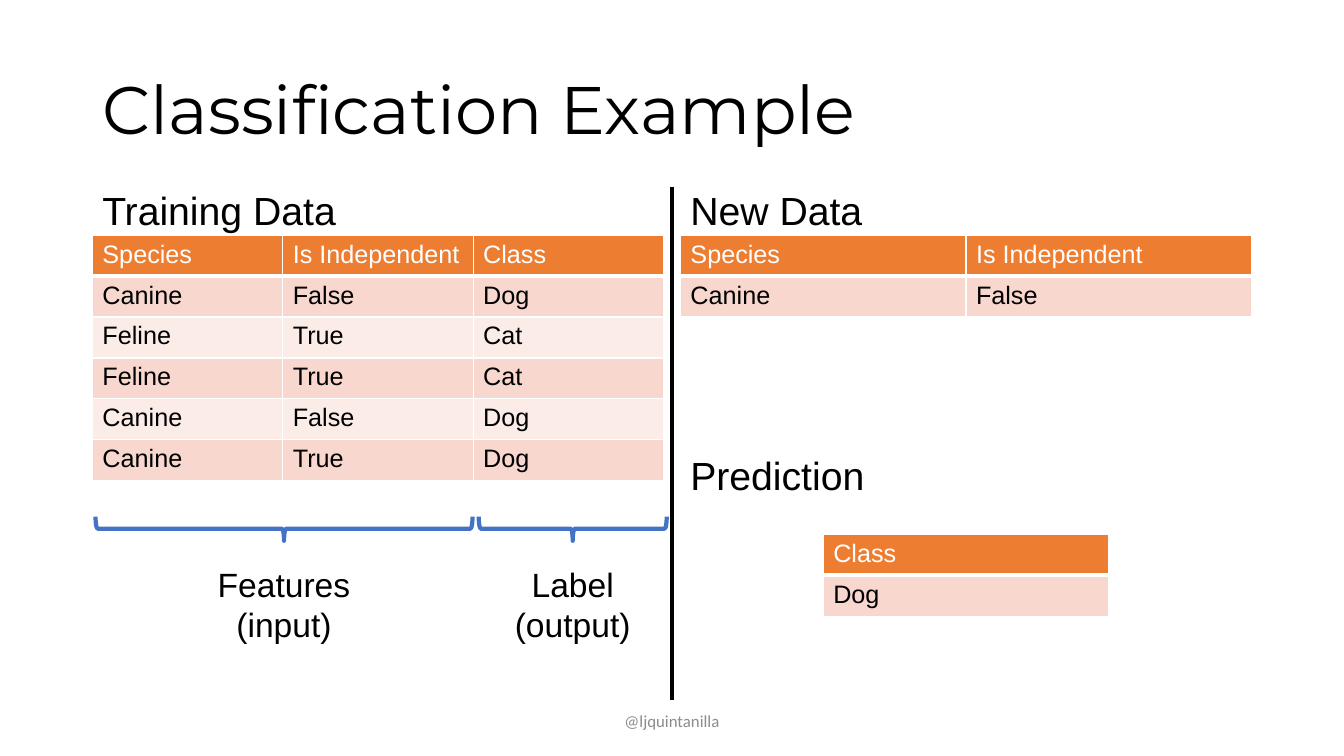
from collections import namedtuple

from lxml.etree import SubElement
from pptx import Presentation
from pptx.dml.color import RGBColor
from pptx.enum.shapes import MSO_CONNECTOR as Connector, MSO_SHAPE as Shape
from pptx.enum.text import MSO_ANCHOR as Anchor, PP_ALIGN as Align
from pptx.oxml.ns import qn
from pptx.util import Pt

EMU_PER_PX = 9525  # 96 px to the inch
BLACK = RGBColor(0x00, 0x00, 0x00)
WHITE = RGBColor(0xFF, 0xFF, 0xFF)
ORANGE = RGBColor(0xED, 0x7D, 0x31)
BANDS = (RGBColor(0xF8, 0xD7, 0xCE), RGBColor(0xFC, 0xEC, 0xE8))
BLUE = RGBColor(0x44, 0x72, 0xC4)
GRAY = RGBColor(0x8C, 0x8C, 0x8C)
ROW_HEIGHT = 39
HEADING_HEIGHT = 54

Box = namedtuple("Box", "x y w h")

TRAINING_ROWS = [
    ("Species", "Is Independent", "Class"),
    ("Canine", "False", "Dog"),
    ("Feline", "True", "Cat"),
    ("Feline", "True", "Cat"),
    ("Canine", "False", "Dog"),
    ("Canine", "True", "Dog"),
]
NEW_ROWS = [("Species", "Is Independent"), ("Canine", "False")]
PREDICTION_ROWS = [("Class",), ("Dog",)]


def px(length):
    return round(length * EMU_PER_PX)


def style_text(frame, size, color=BLACK, font="Arial", align=Align.LEFT):
    for paragraph in frame.paragraphs:
        paragraph.alignment = align
        for run in paragraph.runs:
            run.font.name = font
            run.font.size = Pt(size)
            run.font.color.rgb = color


def add_text(slide, box, text, size, wrap=False, anchor=Anchor.TOP, **style):
    frame = slide.shapes.add_textbox(*map(px, box)).text_frame
    frame.text = text
    frame.word_wrap = wrap
    frame.vertical_anchor = anchor
    style_text(frame, size, **style)
    return frame


def add_cell_borders(cell, bottom):
    properties = cell._tc.get_or_add_tcPr()
    for side, width in (("L", 1), ("R", 1), ("T", 1), ("B", bottom)):
        border = SubElement(properties, qn(f"a:ln{side}"), w=str(Pt(width)))
        fill = SubElement(border, qn("a:solidFill"))
        SubElement(fill, qn("a:srgbClr"), val=str(WHITE))


def draw_table(slide, x, y, width, rows):
    columns = len(rows[0])
    table = slide.shapes.add_table(
        len(rows), columns, px(x), px(y), px(width), px(ROW_HEIGHT * len(rows))
    ).table
    for column in table.columns:
        column.width = px(width / columns)
    for r, values in enumerate(rows):
        header = r == 0
        table.rows[r].height = px(ROW_HEIGHT)
        for c, value in enumerate(values):
            cell = table.cell(r, c)
            cell.text = value
            add_cell_borders(cell, bottom=3 if header else 1)
            cell.fill.solid()
            cell.fill.fore_color.rgb = ORANGE if header else BANDS[(r - 1) % 2]
            style_text(cell.text_frame, 18, WHITE if header else BLACK)


def draw_brace(slide, box, caption, caption_width):
    # A left brace turned to point down: its size is given before the turn
    center_x, center_y = box.x + box.w / 2, box.y + box.h / 2
    brace = slide.shapes.add_shape(
        Shape.LEFT_BRACE, px(center_x - box.h / 2), px(center_y - box.w / 2),
        px(box.h), px(box.w))
    brace.rotation = 270
    brace.shadow.inherit = False
    brace.fill.background()
    brace.line.color.rgb = BLUE
    brace.line.width = Pt(3)
    caption_box = Box(center_x - caption_width / 2, box.y + 40, caption_width, 87)
    add_text(slide, caption_box, caption, 24, align=Align.CENTER)


def draw_data(slide, box, heading, heading_width, rows, gap=51, inset=0):
    add_text(slide, Box(box.x, box.y, heading_width, HEADING_HEIGHT), heading, 28)
    draw_table(slide, box.x + inset, box.y + gap, box.w - 2 * inset, rows)


def draw_training(slide, box):
    draw_data(slide, box, "Training Data", 245, TRAINING_ROWS)
    brace_y = box.y + 319
    draw_brace(slide, Box(box.x + 3, brace_y, 359, 23), "Features\n(input)", 147)
    draw_brace(slide, Box(box.x + 368, brace_y, 179, 23), "Label\n(output)", 131)


def draw_new_data(slide, box):
    draw_data(slide, box, "New Data", 185, NEW_ROWS)
    lower = box._replace(y=box.y + 252)
    draw_data(slide, lower, "Prediction", 187, PREDICTION_ROWS, gap=84, inset=136)


def draw_divider(slide, x, top, bottom):
    divider = slide.shapes.add_connector(
        Connector.STRAIGHT, px(x), px(bottom), px(x), px(top))
    divider.line.color.rgb = BLACK
    divider.line.width = Pt(3)
    SubElement(divider._element.spPr, qn("a:effectLst"))


def main():
    deck = Presentation()
    deck.slide_width, deck.slide_height = px(1280), px(720)
    slide = deck.slides.add_slide(deck.slide_layouts[6])

    # Title
    title = add_text(slide, Box(88, 38, 1104, 139), "Classification Example", 48,
                     wrap=True, anchor=Anchor.MIDDLE, font="Montserrat")
    title.paragraphs[0].line_spacing = 0.9

    # Two halves and the line between them
    draw_training(slide, Box(88, 173, 544, 446))
    draw_new_data(slide, Box(648, 173, 544, 446))
    draw_divider(slide, 640, 178, 667)

    # Footer
    add_text(slide, Box(424, 667, 432, 38), "@ljquintanilla", 12, wrap=True,
             anchor=Anchor.MIDDLE, color=GRAY, font="Calibri", align=Align.CENTER)

    deck.save("out.pptx")


if __name__ == "__main__":
    main()
